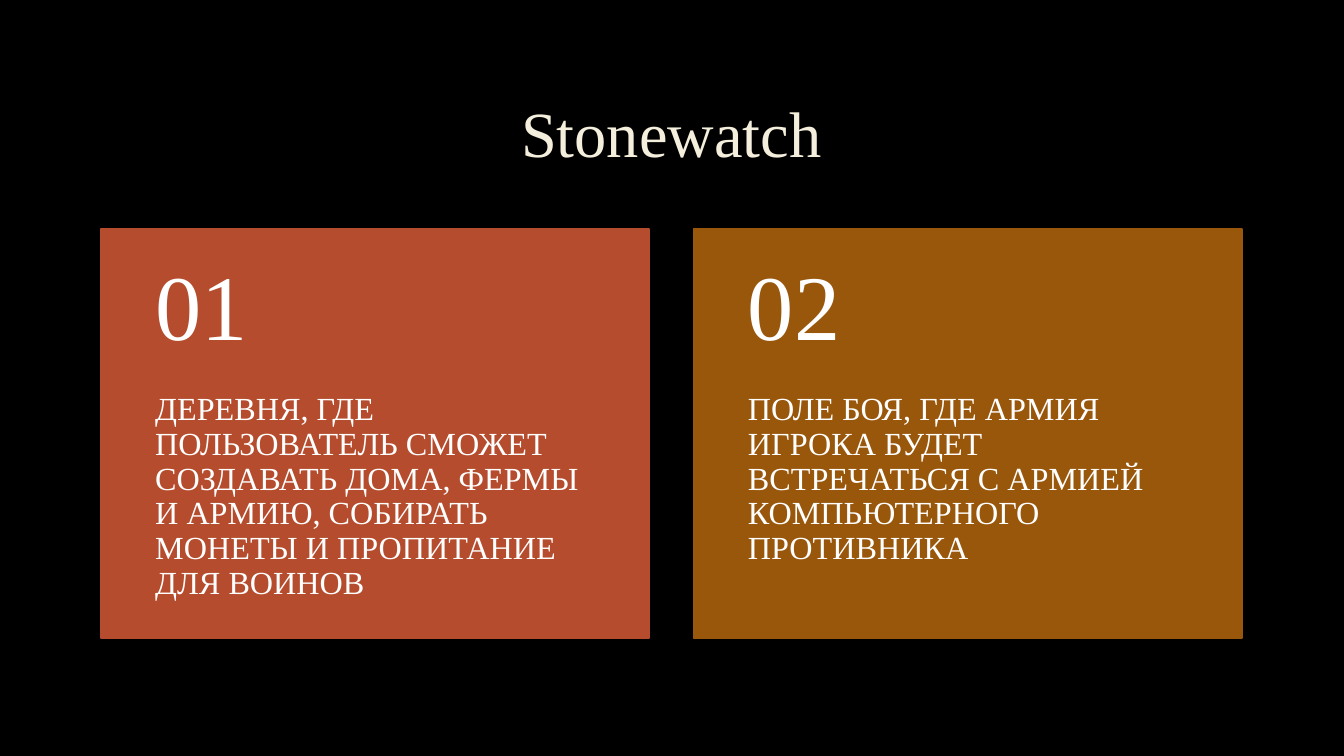
from pptx import Presentation
from pptx.dml.color import RGBColor
from pptx.enum.shapes import MSO_SHAPE as Preset
from pptx.enum.text import MSO_ANCHOR as Anchor, PP_ALIGN as Align
from pptx.util import Inches, Pt

COLORS = {
    "background": "000000",
    "title": "F4EEDC",
    "text": "FFFFFF",
    "village": "B54C2D",
    "battlefield": "99570C",
}
FONT = "Times New Roman"
GRID = 100  # columns and rows across the whole slide

MARGIN, CARD_WIDTH, GAP = 7.5, 40.8, 3.3
CARD_TOP, NUMBER_HEIGHT, BODY_HEIGHT = 30.27, 21.67, 32.5
CARDS = [
    ("village", "ДЕРЕВНЯ, ГДЕ ПОЛЬЗОВАТЕЛЬ СМОЖЕТ СОЗДАВАТЬ ДОМА, ФЕРМЫ И АРМИЮ, "
                "СОБИРАТЬ МОНЕТЫ И ПРОПИТАНИЕ ДЛЯ ВОИНОВ"),
    ("battlefield", "ПОЛЕ БОЯ, ГДЕ АРМИЯ ИГРОКА БУДЕТ ВСТРЕЧАТЬСЯ С АРМИЕЙ "
                    "КОМПЬЮТЕРНОГО ПРОТИВНИКА"),
]


class SlideBuilder:
    def __init__(self, deck):
        self.page = deck.slides.add_slide(deck.slide_layouts[6])
        self.column = deck.slide_width / GRID
        self.row = deck.slide_height / GRID
        self.fill(self.page.background.fill, "background")

    def fill(self, target, color):
        target.solid()
        target.fore_color.rgb = RGBColor.from_string(COLORS[color])

    def place(self, left, top, width, height):
        """Turn grid columns and rows into slide lengths."""
        return (round(left * self.column), round(top * self.row),
                round(width * self.column), round(height * self.row))

    def panel(self, shapes, area, color):
        box = shapes.add_shape(Preset.RECTANGLE, *self.place(*area))
        box.shadow.inherit = False
        self.fill(box.fill, color)
        self.fill(box.line.fill, color)
        box.line.width = Pt(1.25)

    def text(self, shapes, area, words, size, color="text", align=Align.LEFT,
             anchor=Anchor.MIDDLE, insets=(0.54, 0.18, 0.54, 0.18)):
        frame = shapes.add_textbox(*self.place(*area)).text_frame
        frame.word_wrap = True
        frame.vertical_anchor = anchor
        (frame.margin_left, frame.margin_top,
         frame.margin_right, frame.margin_bottom) = map(Inches, insets)
        para = frame.paragraphs[0]
        para.text = words
        para.alignment = align
        para.line_spacing = 0.9
        para.font.name = FONT
        para.font.size = Pt(size)
        para.font.color.rgb = RGBColor.from_string(COLORS[color])

    def card(self, index, color, body):
        shapes = self.page.shapes.add_group_shape().shapes
        left = MARGIN + index * (CARD_WIDTH + GAP)
        body_top = CARD_TOP + NUMBER_HEIGHT
        self.panel(shapes, (left, CARD_TOP, CARD_WIDTH, NUMBER_HEIGHT + BODY_HEIGHT), color)
        self.text(shapes, (left, body_top, CARD_WIDTH, BODY_HEIGHT), body, 23,
                  anchor=Anchor.TOP, insets=(0.54, 0, 0.54, 0.36))
        self.text(shapes, (left, CARD_TOP, CARD_WIDTH, NUMBER_HEIGHT), f"{index + 1:02}", 66)


def main():
    deck = Presentation()
    deck.slide_width, deck.slide_height = Inches(13.33), Inches(7.5)
    slide = SlideBuilder(deck)
    slide.text(slide.page.shapes, (MARGIN, 8.93, 2 * CARD_WIDTH + GAP, 18.4), "Stonewatch",
               46, "title", Align.CENTER, insets=(0.1, 0.05, 0.1, 0.05))
    for index, (color, body) in enumerate(CARDS):
        slide.card(index, color, body)
    deck.save("out.pptx")


if __name__ == "__main__":
    main()
